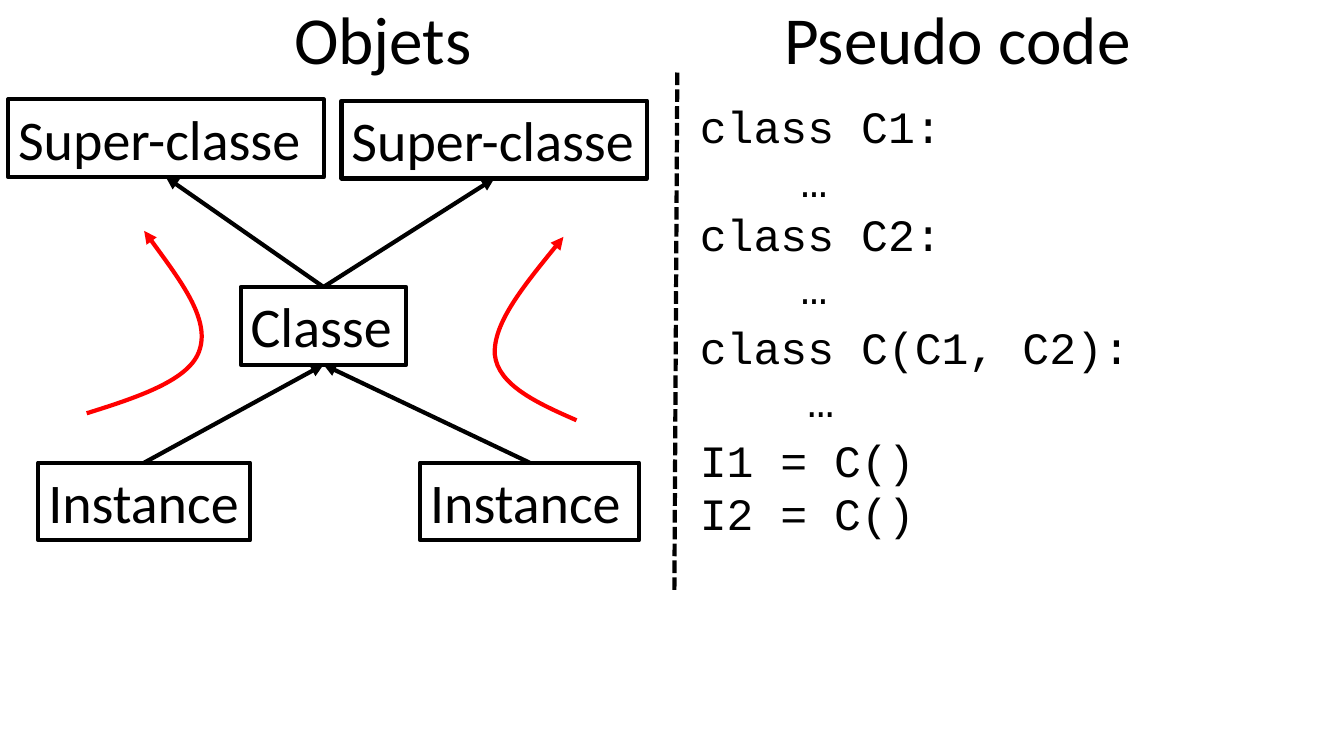
from dataclasses import dataclass
from itertools import chain
from typing import NamedTuple

from lxml import etree
from pptx import Presentation
from pptx.dml.color import RGBColor
from pptx.enum import dml, shapes, text
from pptx.oxml import ns
from pptx.util import Pt


@dataclass(frozen=True)
class Theme:
    ink: RGBColor = RGBColor(0, 0, 0)
    red: RGBColor = RGBColor(255, 0, 0)
    sans: str = "Calibri"
    mono: str = "Courier New"
    head: float = 48
    label: float = 40
    code: float = 32
    rule: float = 3


class Box(NamedTuple):
    name: str
    label: str
    x: float
    y: float
    w: float
    h: float = 55.5


class Line(NamedTuple):
    words: str
    indent: float = 0


class Block(NamedTuple):
    x: float
    y: float
    w: float
    h: float
    lines: tuple[Line, ...]
    font: str
    size: float


theme = Theme()
deck = Presentation()
deck.slide_width, deck.slide_height = Pt(960), Pt(540)
slide = deck.slides.add_slide(deck.slide_layouts[6])
canvas = slide.shapes


def add_tag(parent, name: str, **attrs: str):
    return etree.SubElement(parent, ns.qn(name), **attrs)


def stroke(shape, color: RGBColor = theme.ink, arrow: bool = False,
           dash: bool = False) -> None:
    shape.line.color.rgb = color
    shape.line.width = Pt(theme.rule)
    if dash:
        shape.line.dash_style = dml.MSO_LINE.SQUARE_DOT
    edge = shape._element.spPr.get_or_add_ln()
    add_tag(edge, "a:round")
    if arrow:
        add_tag(edge, "a:tailEnd", type="triangle")


def write(shape, lines: tuple[Line, ...], font: str, size: float) -> None:
    frame = shape.text_frame
    frame.text = "\n".join(line.words for line in lines)
    frame.word_wrap = True
    frame.vertical_anchor = text.MSO_ANCHOR.TOP
    frame.margin_right = 0
    for para, line in zip(frame.paragraphs, lines):
        para.alignment = text.PP_ALIGN.LEFT
        if line.indent:
            para._p.get_or_add_pPr().set("marL", str(Pt(line.indent)))
        for run in para.runs:
            run.font.name, run.font.size = font, Pt(size)
            run.font.color.rgb = theme.ink


def add_box(box: Box):
    shape = canvas.add_shape(shapes.MSO_SHAPE.RECTANGLE, Pt(box.x), Pt(box.y),
                             Pt(box.w), Pt(box.h))
    shape.shadow.inherit = False
    shape.fill.background()
    stroke(shape)
    write(shape, (Line(box.label),), theme.sans, theme.label)
    return shape


def add_line(x1: float, y1: float, x2: float, y2: float,
             arrow: bool = False, dash: bool = False):
    line = canvas.add_connector(shapes.MSO_CONNECTOR.STRAIGHT,
                                Pt(x1), Pt(y1), Pt(x2), Pt(y2))
    stroke(line, arrow=arrow, dash=dash)
    add_tag(line._element.spPr, "a:effectLst")
    return line


def add_link(low, high) -> None:
    """Arrow from the top of one box to the bottom of another."""
    line = add_line(0, 0, 0, 0, arrow=True)
    line.begin_connect(low, 0)
    line.end_connect(high, 2)


def add_curve(points: list[tuple[float, float]]) -> None:
    """Bezier arrow: a start, then three points for each segment."""
    start, *rest = [(Pt(x), Pt(y)) for x, y in points]
    pen = canvas.build_freeform(*start)
    pen.add_line_segments(rest, close=False)
    shape = pen.convert_to_shape()
    shape.shadow.inherit = False
    shape.fill.background()
    stroke(shape, theme.red, arrow=True)
    steps = list(shape._element.iter(ns.qn("a:lnTo")))
    track = steps[0].getparent()
    for i in range(0, len(steps), 3):
        bend = add_tag(track, "a:cubicBezTo")
        for step in steps[i:i + 3]:
            bend.append(step[0])
            track.remove(step)


def add_block(block: Block) -> None:
    shape = canvas.add_textbox(Pt(block.x), Pt(block.y), Pt(block.w), Pt(block.h))
    write(shape, block.lines, block.font, block.size)


# Class diagram
boxes = (
    Box("left", "Super-classe", 5.8, 71, 225.4),
    Box("right", "Super-classe", 244, 72, 218.2),
    Box("class", "Classe", 172, 205, 118.2),
    Box("first", "Instance", 27.4, 330.5, 151.2),
    Box("second", "Instance", 300.2, 330.5, 156.3),
)
nodes = {box.name: add_box(box) for box in boxes}
for low, high in (("class", "left"), ("class", "right"),
                  ("first", "class"), ("second", "class")):
    add_link(nodes[low], nodes[high])

# Divider
add_line(483.8, 51.8, 481.7, 423.4, dash=True)

# Lookup order arrows
curves = (
    [(411.8, 300.2), (383.8, 288), (355.7, 275), (353.5, 253.4),
     (352, 231.1), (377.3, 200.2), (402.5, 169.2)],
    [(61.9, 295.2), (98.6, 283.7), (136.1, 271.4), (142.6, 249.8),
     (149.8, 227.5), (126, 196.6), (103, 164.9)],
)
for curve in curves:
    add_curve(curve)

# Headings and code
heads = (("Objets", 203, 155.5), ("Pseudo code", 553, 288.7))
blocks = [Block(x, -5.8, w, 65.5, (Line(words),), theme.sans, theme.head)
          for words, x, w in heads]
pairs = [(Line(f"class {name}:"), Line("…", 72)) for name in ("C1", "C2")]
codes = (
    (67, 395.3, 162.7, tuple(chain(*pairs))),
    (224.6, 440, 85, (Line("class C(C1, C2):"), Line("…", 76.8))),
    (305.3, 192.2, 85, (Line("I1 = C()"), Line("I2 = C()"))),
)
blocks += [Block(492.8, y, w, h, lines, theme.mono, theme.code)
           for y, w, h, lines in codes]
for block in blocks:
    add_block(block)

deck.save("out.pptx")
